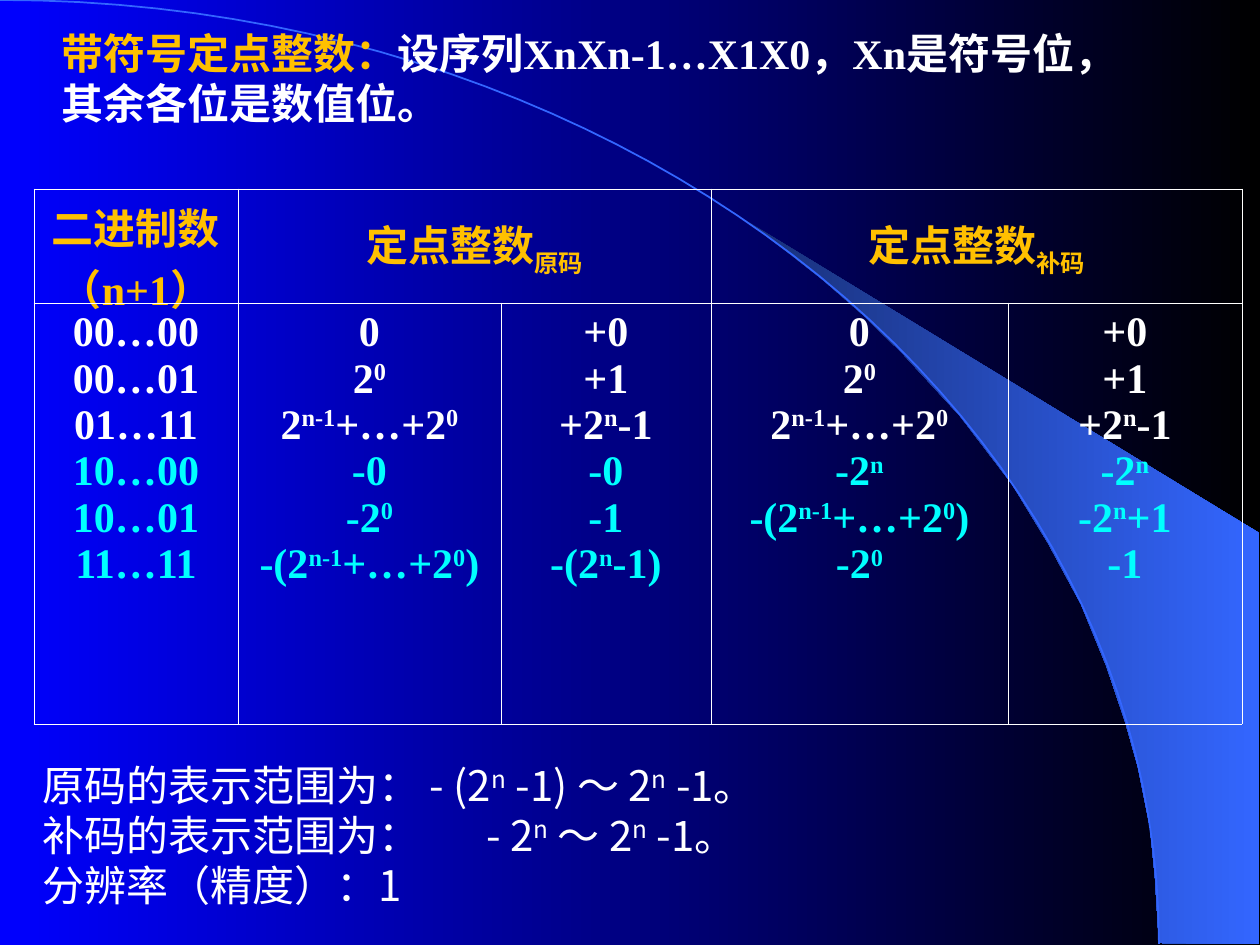
from lxml import etree
from pptx import Presentation
from pptx import util as u
from pptx.dml.color import RGBColor
from pptx.enum import text
from pptx.oxml.ns import qn

SCALE = 914400 / 126
SERIF, SANS = "Times New Roman", "Noto Sans CJK SC"
WHITE, GOLD, CYAN, BLUE = "FFFFFF", "FFC000", "00FFFF", "3366FF"

# Text between two ^ marks is raised; text between two _ marks is lowered.
TITLE = [("带符号定点整数：", GOLD),
         ("设序列XnXn-1…X1X0，Xn是符号位，其余各位是数值位。", WHITE)]
HEADINGS = {0: ["二进制数", "（n+1）"], 1: ["定点整数_原码_"], 3: ["定点整数_补码_"]}
POSITIVE_ROWS = 3
CODE_COLUMNS = [
    ["00…00", "00…01", "01…11", "10…00", "10…01", "11…11"],
    ["0", "2^0^", "2^n-1^+…+2^0^", "-0", "-2^0^", "-(2^n-1^+…+2^0^)"],
    ["+0", "+1", "+2^n^-1", "-0", "-1", "-(2^n^-1)"],
    ["0", "2^0^", "2^n-1^+…+2^0^", "-2^n^", "-(2^n-1^+…+2^0^)", "-2^0^"],
    ["+0", "+1", "+2^n^-1", "-2^n^", "-2^n^+1", "-1"],
]
RANGES = ["原码的表示范围为： - (2^n^ -1) ～ 2^n^ -1。",
          "补码的表示范围为：\t- 2^n^ ～ 2^n^ -1。",
          "分辨率（精度）：1"]
RANGE_TAB = 444

TABLE_BOX = (34, 189, 1208, 535)
COLUMN_WIDTHS = [204, 263, 210, 297, 234]
ROW_HEIGHTS = [114, 421]

BAND = [(1159, 943), (1259, 944), (1259, 533), (742, 218), (786, 251), (823, 280),
        (863, 315), (902, 353), (960, 416), (1012, 484), (1048, 543), (1081, 604),
        (1106, 665), (1125, 721), (1138, 767), (1150, 827), (1155, 877)]
ARC_CONTROLS = [(0, 0), (640, 0), (1159, 422), (1159, 944)]
ARC_STEPS = 48


def px(length):
    return u.Emu(round(length * SCALE))


def color(value):
    return RGBColor.from_string(value)


def set_gradient(fill, start, end):
    fill.gradient()
    fill.gradient_angle = 0
    for stop, position, value in zip(fill.gradient_stops, (0, 1), (start, end)):
        stop.position = position
        stop.color.rgb = color(value)


def add_outline(slide, points, close):
    points = [(px(x), px(y)) for x, y in points]
    builder = slide.shapes.build_freeform(*points[0], scale=1.0)
    builder.add_line_segments(points[1:], close=close)
    shape = builder.convert_to_shape()
    shape.shadow.inherit = False
    return shape


def bezier_point(controls, t):
    weights = ((1 - t) ** 3, 3 * t * (1 - t) ** 2, 3 * t * t * (1 - t), t ** 3)
    return tuple(sum(w * point[axis] for w, point in zip(weights, controls))
                 for axis in (0, 1))


def add_runs(paragraph, content):
    """Add runs, turning the ^raised^ and _lowered_ marks into baseline shifts."""
    mark, shift = ("_", "-25000") if "_" in content else ("^", "30000")
    for index, part in enumerate(content.split(mark)):
        if part:
            run = paragraph.add_run()
            run.text = part
            if index % 2:
                run.font._element.set("baseline", shift)


def set_font(font, name, value=None, bold=False):
    font.size, font.name, font.bold = u.Pt(24), name, bold
    if value:
        font.color.rgb = color(value)


def fill_cell(cell, lines, colors):
    for index, (line, value) in enumerate(zip(lines, colors)):
        frame = cell.text_frame
        paragraph = frame.add_paragraph() if index else frame.paragraphs[0]
        paragraph.alignment = text.PP_ALIGN.CENTER
        add_runs(paragraph, line)
        set_font(paragraph.font, SERIF, value, True)


def style_cell(cell):
    properties = cell._tc.get_or_add_tcPr()
    for side in ("a:lnL", "a:lnR", "a:lnT", "a:lnB"):
        line = etree.SubElement(properties, qn(side), w=str(u.Pt(0.45)))
        solid = etree.SubElement(line, qn("a:solidFill"))
        etree.SubElement(solid, qn("a:srgbClr"), val=WHITE)
    cell.fill.background()


def add_text_box(slide, left, top, width, height):
    frame = slide.shapes.add_textbox(*map(px, (left, top, width, height))).text_frame
    frame.word_wrap = True
    return frame


def add_code_table(slide):
    table = slide.shapes.add_table(2, 5, *map(px, TABLE_BOX)).table
    table.first_row = table.horz_banding = False
    for column, width in zip(table.columns, COLUMN_WIDTHS):
        column.width = px(width)
    for row, height in zip(table.rows, ROW_HEIGHTS):
        row.height = px(height)
    for cell in table.iter_cells():
        style_cell(cell)
    for left in (1, 3):
        table.cell(0, left).merge(table.cell(0, left + 1))
    for column, lines in HEADINGS.items():
        cell = table.cell(0, column)
        cell.vertical_anchor = text.MSO_ANCHOR.MIDDLE
        fill_cell(cell, lines, [GOLD] * len(lines))
    for column, lines in enumerate(CODE_COLUMNS):
        negative_rows = len(lines) - POSITIVE_ROWS
        colors = [WHITE] * POSITIVE_ROWS + [CYAN] * negative_rows
        fill_cell(table.cell(1, column), lines, colors)
    # The two-line heading runs past its cell instead of stretching the row.
    table.cell(0, 0).margin_bottom = px(-16)


def add_title(slide):
    frame = add_text_box(slide, 49, 21, 1091, 113)
    frame.margin_right = px(34)
    paragraph = frame.paragraphs[0]
    set_font(paragraph.font, SERIF, bold=True)
    for content, value in TITLE:
        run = paragraph.add_run()
        run.text = content
        run.font.color.rgb = color(value)


def add_ranges(slide):
    frame = add_text_box(slide, 30, 753, 1027, 164)
    for index, line in enumerate(RANGES):
        paragraph = frame.add_paragraph() if index else frame.paragraphs[0]
        if "\t" in line:
            tabs = etree.SubElement(paragraph._p.get_or_add_pPr(), qn("a:tabLst"))
            etree.SubElement(tabs, qn("a:tab"), pos=str(px(RANGE_TAB)), algn="l")
        add_runs(paragraph, line)
        set_font(paragraph.font, SANS, WHITE)


def main():
    presentation = Presentation()
    presentation.slide_width, presentation.slide_height = px(1260), px(945)
    slide = presentation.slides.add_slide(presentation.slide_layouts[6])
    set_gradient(slide.background.fill, "0000FF", "000000")

    band = add_outline(slide, BAND, True)
    set_gradient(band.fill, "182F76", BLUE)
    band.line.fill.background()

    steps = [step / ARC_STEPS for step in range(ARC_STEPS + 1)]
    arc = add_outline(slide, [bezier_point(ARC_CONTROLS, t) for t in steps], False)
    arc.fill.background()
    arc.line.color.rgb = color(BLUE)
    arc.line.width = u.Pt(1)

    add_code_table(slide)
    add_title(slide)
    add_ranges(slide)
    presentation.save("out.pptx")


if __name__ == "__main__":
    main()
